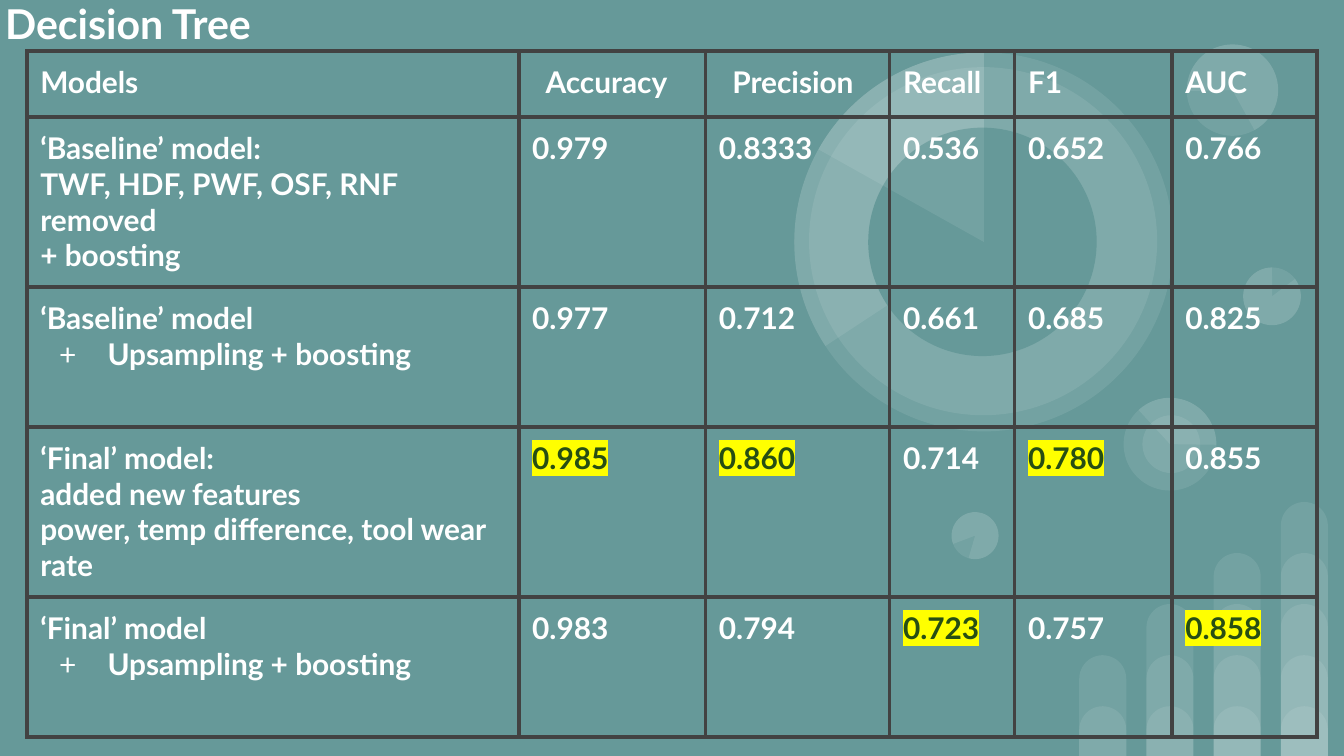
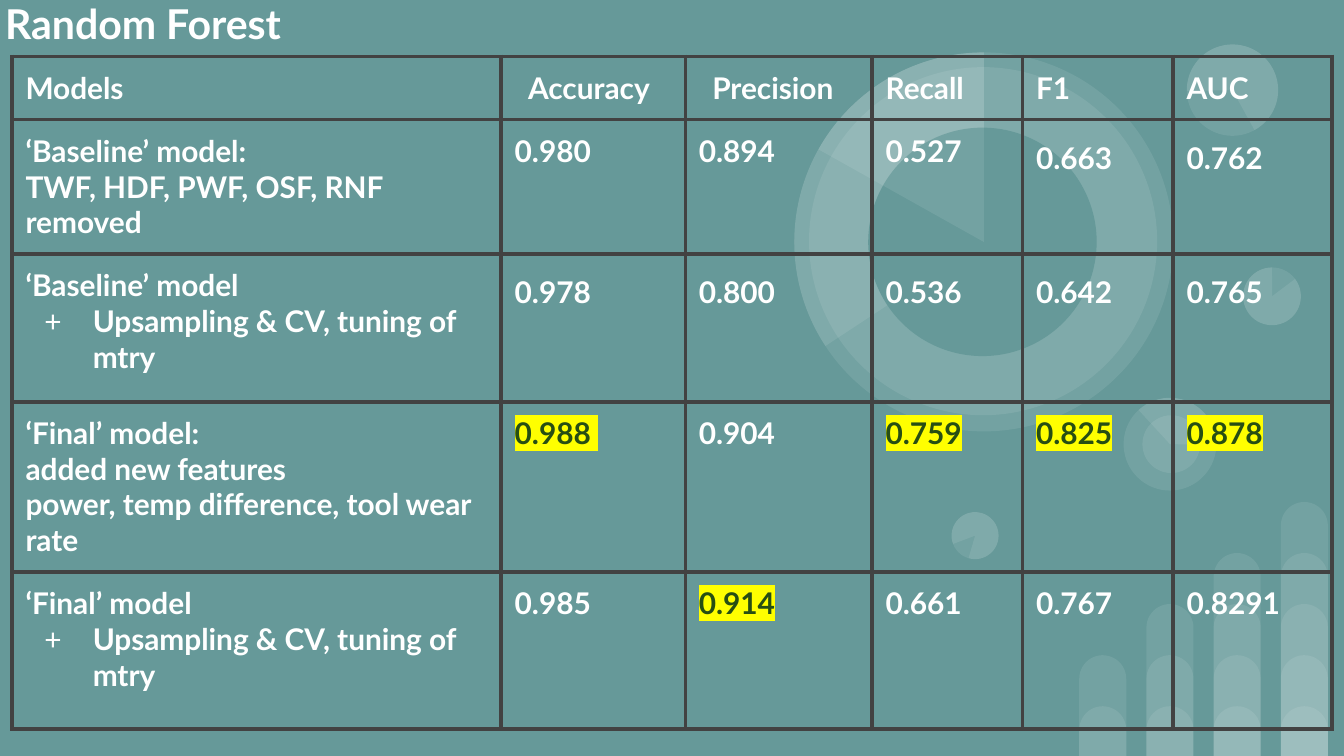
from lxml.etree import SubElement
from pptx import Presentation
from pptx.dml.color import RGBColor
from pptx.enum.shapes import MSO_SHAPE
from pptx.enum.text import MSO_ANCHOR
from pptx.oxml import parse_xml
from pptx.oxml.ns import nsdecls, qn
from pptx.util import Inches, Pt

# Content
HEADERS = ["Models", "Accuracy", "Precision", "Recall", "F1", "AUC"]
FEATURES = ["added new features", "power, temp difference, tool wear rate"]
REMOVED = "TWF, HDF, PWF, OSF, RNF removed"

# Each row: plain lines, optional "+" bullet, scores
SLIDES = [
    {
        "title": "Decision Tree",
        "at": (0.2, 0.38),
        "cols": [3.66, 1.39, 1.37, 0.93, 1.17, 1.08],
        "heights": [0.49, 1.24, 1.04, 1.24, 1.04],
        "loose": set(),
        "rows": [
            (["‘Baseline’ model:", REMOVED, "+ boosting"], None,
             ["0.979", "0.8333", "0.536", "0.652", "0.766"]),
            (["‘Baseline’ model"], "Upsampling + boosting",
             ["0.977", "0.712", "0.661", "0.685", "0.825"]),
            (["‘Final’ model:", *FEATURES], None,
             ["0.985", "0.860", "0.714", "0.780", "0.855"]),
            (["‘Final’ model"], "Upsampling + boosting",
             ["0.983", "0.794", "0.723", "0.757", "0.858"]),
        ],
    },
    {
        "title": "Random Forest",
        "at": (0.09, 0.42),
        "cols": [3.64, 1.37, 1.39, 1.12, 1.12, 1.18],
        "heights": [0.47, 1.0, 1.1, 1.26, 1.17],
        # (row, column) of the cells with wider line spacing
        "loose": {(1, 4), (1, 5), (2, 1), (2, 2), (2, 3), (2, 4), (2, 5)},
        "rows": [
            (["‘Baseline’ model:", REMOVED], None,
             ["0.980", "0.894", "0.527", "0.663", "0.762"]),
            (["‘Baseline’ model"], "Upsampling & CV, tuning of mtry",
             ["0.978", "0.800", "0.536", "0.642", "0.765"]),
            (["‘Final’ model:", *FEATURES], None,
             ["0.988 ", "0.904", "0.759", "0.825", "0.878"]),
            (["‘Final’ model"], "Upsampling & CV, tuning of mtry",
             ["0.985", "0.914", "0.661", "0.767", "0.8291"]),
        ],
    },
]

# Shared look
COLORS = {"back": "669999", "text": "FFFFFF", "grid": "424242",
          "best": "274E13", "mark": "FFFF00"}
FONT = "Lato"
WIDTH = 10
HEIGHT = WIDTH * 9 / 16
VEIL = 9  # percent opacity of the decoration
PAD = 0.1

# Background circles: left, top, diameter, rotation, pie angles, solid
CIRCLES = [
    (9.25, 1.99, 0.43, 0, None, False),
    (7.08, 3.81, 0.35, 196.2, None, False),
    (8.36, 2.96, 0.69, 90, None, False),
    (8.36, 2.96, 0.69, 90, (82.45, 162.46), False),
    (8.5, 3.09, 0.43, 90, None, False),
    (9.25, 1.99, 0.43, 0, (193.77, 162), False),
    (8.83, 0.33, 0.68, 215.9, None, False),
    (8.83, 0.33, 0.68, 215.9, (193.77, 123.14), False),
    (5.91, 0.39, 2.82, 0, None, False),
    (6.02, 0.5, 2.59, 34.1, None, False),
    (5.91, 0.39, 2.82, 0, (88.01, 162), False),
    (6.46, 0.95, 1.7, 34.1, None, True),
    (5.91, 0.39, 2.82, 0, (125.54, 162), False),
    (7.08, 3.81, 0.35, 196.2, (193.77, 162), False),
]


def rgb(name):
    return RGBColor.from_string(COLORS[name])


def add_decor(s, kind, box, rot=0, adj=None, solid=False):
    sp = s.shapes.add_shape(kind, *map(Inches, box))
    sp.shadow.inherit = False
    sp.rotation = rot
    sp.line.fill.background()
    sp.fill.solid()
    sp.fill.fore_color.rgb = rgb("back" if solid else "text")
    for i, value in enumerate(adj or ()):
        sp.adjustments[i] = value
    if not solid:
        clr = sp.fill._xPr.find(qn("a:solidFill"))[0]
        SubElement(clr, qn("a:alpha"), val=str(VEIL * 1000))


def add_background(s):
    # Bars: each column has one more stacked level than the one before
    for col in range(4):
        for level in range(col + 2):
            h = 0.37 + 0.38 * level
            add_decor(s, MSO_SHAPE.ROUND_2_SAME_RECTANGLE,
                      (8.03 + 0.5 * col, HEIGHT - h, 0.35, h), adj=(0.5, 0))
    for x, y, d, rot, adj, solid in CIRCLES:
        kind = MSO_SHAPE.PIE if adj else MSO_SHAPE.OVAL
        add_decor(s, kind, (x, y, d, d), rot, adj, solid)


def add_run(p, text, size=16, best=False):
    r = p.add_run()
    r.text = text
    for name, value in {"name": FONT, "size": Pt(size), "bold": True}.items():
        setattr(r.font, name, value)
    r.font.color.rgb = rgb("best" if best else "text")
    if best:
        r.font._element.find(qn("a:solidFill")).addnext(parse_xml(
            f'<a:highlight {nsdecls("a")}>'
            f'<a:srgbClr val="{COLORS["mark"]}"/></a:highlight>'))


def add_bullet(p):
    pPr = p._p.get_or_add_pPr()
    pPr.set("marL", str(Inches(0.5)))
    pPr.set("indent", str(-Inches(0.36)))
    SubElement(SubElement(pPr, qn("a:buClr")), qn("a:srgbClr"),
               val=COLORS["text"])
    SubElement(pPr, qn("a:buFont"), typeface=FONT)
    SubElement(pPr, qn("a:buChar"), char="+")


def set_margins(box, left=PAD):
    for side in ("left", "top", "right", "bottom"):
        setattr(box, f"margin_{side}", Inches(left if side == "left" else PAD))


def style_cell(cell, left=PAD):
    set_margins(cell, left)
    cell.fill.background()
    tcPr = cell._tc.get_or_add_tcPr()
    for i, side in enumerate(("lnL", "lnR", "lnT", "lnB")):
        tcPr.insert(i, parse_xml(
            f'<a:{side} {nsdecls("a")} w="{Pt(2.25)}"><a:solidFill>'
            f'<a:srgbClr val="{COLORS["grid"]}"/></a:solidFill></a:{side}>'))


def write_lines(cell, lines, bullet=None, best=False, spacing=None):
    tf = cell.text_frame
    entries = [(line, False) for line in lines]
    if bullet:
        entries.append((bullet, True))
    for i, (text, bulleted) in enumerate(entries):
        p = tf.add_paragraph() if i else tf.paragraphs[0]
        if spacing:
            p.line_spacing = spacing
        if bulleted:
            add_bullet(p)
        add_run(p, text, best=best)


def add_title(s, text):
    tb = s.shapes.add_textbox(*map(Inches, (-0.06, -0.07, 4.65, 0.48)))
    tf = tb.text_frame
    tf.word_wrap = True
    tf.vertical_anchor = MSO_ANCHOR.MIDDLE
    set_margins(tf)
    add_run(tf.paragraphs[0], text, size=22)


def add_scores(s, data):
    cols, heights, rows = data["cols"], data["heights"], data["rows"]
    box = (*data["at"], sum(cols), sum(heights))
    table = s.shapes.add_table(len(heights), len(cols),
                               *map(Inches, box)).table
    table.first_row = table.horz_banding = False
    for column, w in zip(table.columns, cols):
        column.width = Inches(w)
    for row, h in zip(table.rows, heights):
        row.height = Inches(h)

    # Header row
    for c, head in enumerate(HEADERS):
        cell = table.cell(0, c)
        style_cell(cell, 2 * PAD if head in ("Accuracy", "Precision") else PAD)
        write_lines(cell, [head])

    # Model rows; the best score of each column is highlighted
    best = [max(column, key=float) for column in zip(*(r[2] for r in rows))]
    for n, (lines, bullet, scores) in enumerate(rows, 1):
        style_cell(table.cell(n, 0))
        write_lines(table.cell(n, 0), lines, bullet)
        for c, score in enumerate(scores, 1):
            cell = table.cell(n, c)
            style_cell(cell)
            write_lines(cell, [score], best=score == best[c - 1],
                        spacing=1.2 if (n, c) in data["loose"] else None)


def main():
    prs = Presentation()
    prs.slide_width, prs.slide_height = Inches(WIDTH), Inches(HEIGHT)
    fill = prs.slide_master.background.fill
    fill.solid()
    fill.fore_color.rgb = rgb("back")
    for data in SLIDES:
        s = prs.slides.add_slide(prs.slide_layouts[6])
        add_background(s)
        add_title(s, data["title"])
        add_scores(s, data)
    prs.save("out.pptx")


if __name__ == "__main__":
    main()
